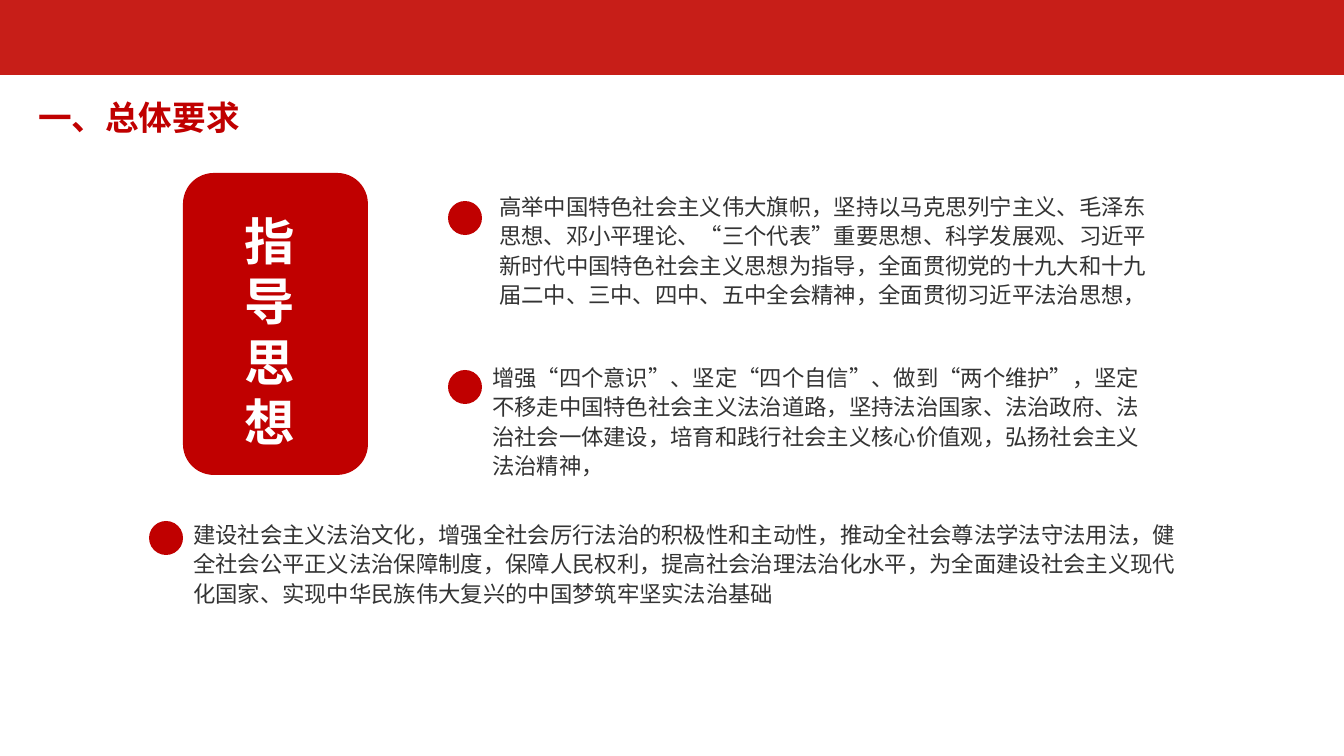
import dataclasses

import lxml.etree
import pptx
import pptx.dml.color
import pptx.enum.shapes
import pptx.enum.text
import pptx.oxml.ns
import pptx.util

SHAPE = pptx.enum.shapes.MSO_SHAPE
QN = pptx.oxml.ns.qn


@dataclasses.dataclass
class Theme:
    font: str = "Noto Sans CJK SC"
    banner: str = "C71E18"
    red: str = "C00000"
    ink: str = "333333"
    white: str = "FFFFFF"
    head: int = 24
    label: int = 36
    body: int = 16


class Deck:
    SCALE = 914400 / 100.8  # EMU in one px

    def __init__(self, theme):
        self.theme = theme
        self.prs = pptx.Presentation()
        self.prs.slide_width = self.px(1344)
        self.prs.slide_height = self.px(756)
        # Comparison layout: a title and several body holders
        self.slide = self.prs.slides.add_slide(self.prs.slide_layouts[4])
        self.holders = list(self.slide.placeholders)

    def px(self, n):
        return pptx.util.Emu(round(n * self.SCALE))

    def place(self, item, box):
        item.left, item.top, item.width, item.height = map(self.px, box)

    def shape(self, kind, box, color):
        item = self.slide.shapes.add_shape(kind, *map(self.px, box))
        item.shadow.inherit = False
        item.fill.solid()
        item.fill.fore_color.rgb = pptx.dml.color.RGBColor.from_string(color)
        item.line.fill.background()

    def text(self, item, words, size, color, bold=False, space=1.0):
        frame = item.text_frame
        frame.word_wrap = True
        frame.auto_size = pptx.enum.text.MSO_AUTO_SIZE.NONE
        frame.vertical_anchor = pptx.enum.text.MSO_ANCHOR.TOP
        para = frame.paragraphs[0]
        para.alignment = pptx.enum.text.PP_ALIGN.LEFT
        para.line_spacing = space
        para.space_before = pptx.util.Pt(0)
        run = para.add_run()
        run.text = words
        font = run.font
        font.size = pptx.util.Pt(size)
        font.bold = bold
        font.color.rgb = pptx.dml.color.RGBColor.from_string(color)
        font.name = self.theme.font
        # East Asian face
        face = lxml.etree.SubElement(run._r.get_or_add_rPr(), QN("a:ea"))
        face.set("typeface", self.theme.font)
        return para

    def title(self, box, words):
        item = self.holders.pop(0)
        self.place(item, box)
        self.text(item, words, self.theme.head, self.theme.red, True, 1.2)

    def label(self, box, words):
        item = self.slide.shapes.add_textbox(*map(self.px, box))
        self.text(item, words, self.theme.label, self.theme.white, True)

    def point(self, dot, box, words):
        item = self.holders.pop(0)
        self.place(item, box)
        para = self.text(item, words, self.theme.body, self.theme.ink,
                         space=1.1)
        # The round marker stands in for the bullet
        props = para._p.get_or_add_pPr()
        props.set("marL", "0")
        props.set("indent", "0")
        lxml.etree.SubElement(props, QN("a:buNone"))
        self.shape(SHAPE.OVAL, (*dot, 34, 34), self.theme.red)

    def save(self):
        for item in self.holders:
            item.element.getparent().remove(item.element)
        self.prs.save("out.pptx")


POINTS = [
    ((448, 201), (489, 185, 672, 130),
     "高举中国特色社会主义伟大旗帜，坚持以马克思列宁主义、毛泽东思想、"
     "邓小平理论、“三个代表”重要思想、科学发展观、习近平新时代中国特色"
     "社会主义思想为指导，全面贯彻党的十九大和十九届二中、三中、四中、"
     "五中全会精神，全面贯彻习近平法治思想，"),
    ((448, 370), (482, 356, 672, 159),
     "增强“四个意识”、坚定“四个自信”、做到“两个维护”，坚定不移走"
     "中国特色社会主义法治道路，坚持法治国家、法治政府、法治社会一体建设，"
     "培育和践行社会主义核心价值观，弘扬社会主义法治精神，"),
    ((149, 521), (183, 513, 1025, 100),
     "建设社会主义法治文化，增强全社会厉行法治的积极性和主动性，"
     "推动全社会尊法学法守法用法，健全社会公平正义法治保障制度，"
     "保障人民权利，提高社会治理法治化水平，为全面建设社会主义现代化国家、"
     "实现中华民族伟大复兴的中国梦筑牢坚实法治基础"),
]


def main():
    theme = Theme()
    deck = Deck(theme)
    # Banner and heading
    deck.shape(SHAPE.RECTANGLE, (0, 0, 1344, 75), theme.banner)
    deck.title((28, 84, 240, 56), "一、总体要求")
    # Upright label, one character a line
    deck.shape(SHAPE.ROUNDED_RECTANGLE, (183, 173, 185, 302), theme.red)
    deck.label((235, 205, 98, 254), "指导思想")
    # Points
    for dot, box, words in POINTS:
        deck.point(dot, box, words)
    deck.save()


if __name__ == "__main__":
    main()
